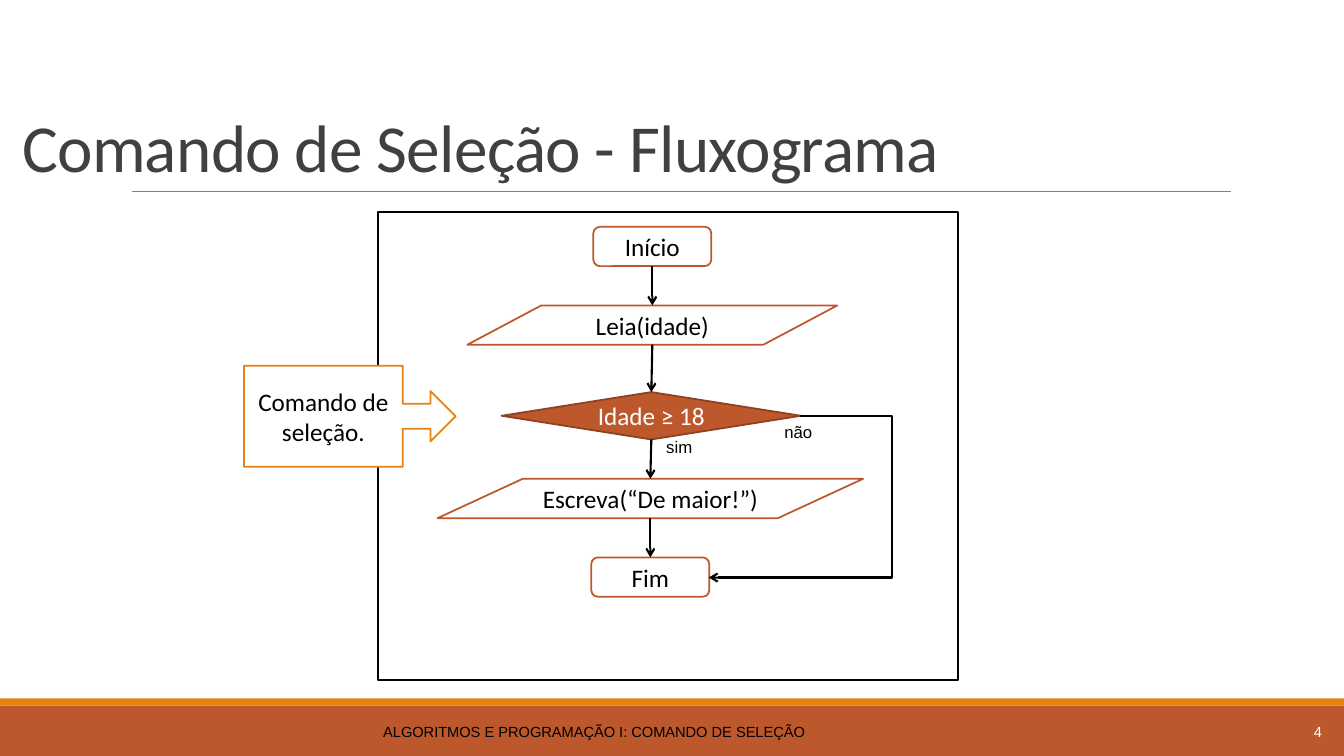
from lxml import etree
from pptx import Presentation
from pptx.dml.color import RGBColor
from pptx.enum.shapes import MSO_CONNECTOR, MSO_SHAPE
from pptx.enum.text import MSO_ANCHOR, MSO_AUTO_SIZE, PP_ALIGN
from pptx.oxml.ns import qn
from pptx.util import Inches, Pt

STRAIGHT, ELBOW = MSO_CONNECTOR.STRAIGHT, MSO_CONNECTOR.ELBOW
RECTANGLE, ROUNDED = MSO_SHAPE.RECTANGLE, MSO_SHAPE.ROUNDED_RECTANGLE
DATA, DIAMOND = MSO_SHAPE.FLOWCHART_DATA, MSO_SHAPE.DIAMOND
CALLOUT = MSO_SHAPE.RIGHT_ARROW_CALLOUT
TOP, MIDDLE, BOTTOM = MSO_ANCHOR.TOP, MSO_ANCHOR.MIDDLE, MSO_ANCHOR.BOTTOM
LEFT, CENTER, RIGHT = PP_ALIGN.LEFT, PP_ALIGN.CENTER, PP_ALIGN.RIGHT
NO_AUTOFIT = MSO_AUTO_SIZE.NONE

COLORS = {
    "rust": "BD582C", "dark_rust": "8C4121", "orange": "E48312", "gray": "808080",
    "title": "404040", "black": "000000", "white": "FFFFFF",
}


def color(name):
    return RGBColor.from_string(COLORS[name])


def write(shape, text, size, font, ink, align=CENTER, anchor=MIDDLE, wrap=True):
    frame = shape.text_frame
    frame.text = text
    frame_format = {"word_wrap": wrap, "auto_size": NO_AUTOFIT, "vertical_anchor": anchor}
    for name, value in frame_format.items():
        setattr(frame, name, value)
    paragraph = frame.paragraphs[0]
    paragraph.alignment = align
    run = paragraph.runs[0]
    for name, value in {"size": Pt(size), "name": font}.items():
        setattr(run.font, name, value)
    run.font.color.rgb = color(ink)
    return paragraph


def add_label(slide, box, text, size, ink="black", **layout):
    shape = slide.shapes.add_textbox(*map(Inches, box))
    write(shape, text, size, "Arial", ink, **layout)


def add_box(slide, kind, box, fill=None, line=None, text=None, ink="black"):
    shape = slide.shapes.add_shape(kind, *map(Inches, box))
    shape.shadow.inherit = False
    if fill:
        shape.fill.solid()
        shape.fill.fore_color.rgb = color(fill)
    else:
        shape.fill.background()
    if line:
        shape.line.color.rgb = color(line)
        shape.line.width = Pt(1.25)
    else:
        shape.line.fill.background()
    if text:
        write(shape, text, 18, "Calibri", ink)
    return shape


def add_line(slide, start, end, ink="black", width=1.5, kind=STRAIGHT, arrow=True):
    connector = slide.shapes.add_connector(kind, *map(Inches, (*start, *end)))
    connector.line.color.rgb = color(ink)
    connector.line.width = Pt(width)
    if arrow:
        etree.SubElement(connector.line._get_or_add_ln(), qn("a:tailEnd"), type="arrow")
    etree.SubElement(connector._element.spPr, qn("a:effectLst"))
    return connector


def add_title(slide, box):
    title = slide.shapes.title
    for name, value in zip(("left", "top", "width", "height"), box):
        setattr(title, name, Inches(value))
    paragraph = write(title, "Comando de Seleção - Fluxograma", 48, "Calibri", "title", LEFT, BOTTOM)
    paragraph.line_spacing = 0.85
    paragraph.runs[0].font._element.set("spc", "-50")
    bottom = box[1] + box[3]
    add_line(slide, (1.31, bottom), (12.21, bottom), "gray", 0.5, arrow=False)


def add_footer(slide, box):
    left, top, width, height = box
    add_box(slide, RECTANGLE, box, "rust")
    add_box(slide, RECTANGLE, (left, top - 0.07, width, 0.07), "orange")
    text_top = top + 0.06
    add_label(slide, (left + 0.12, text_top, 11.55, 0.4),
              "ALGORITMOS E PROGRAMAÇÃO I: COMANDO DE SELEÇÃO", 10.5, align=CENTER)
    add_label(slide, (left + 11.78, text_top, 1.43, 0.4), "4", 10.5, "white", align=RIGHT)


def add_flowchart(slide, box):
    left, top = box[:2]
    add_box(slide, RECTANGLE, box, line="black")
    steps = [
        ("Início", ROUNDED, 2.72, 0.15, 1.17, 0.39, "white", "rust", "black"),
        ("Leia(idade)", DATA, 2.72, 0.93, 3.67, 0.39, "white", "rust", "black"),
        ("Idade ≥ 18", DIAMOND, 2.71, 1.79, 2.97, 0.47, "rust", "dark_rust", "white"),
        ("Escreva(“De maior!”)", DATA, 2.7, 2.65, 4.22, 0.39, "white", "rust", "black"),
        ("Fim", ROUNDED, 2.7, 3.43, 1.17, 0.39, "white", "rust", "black"),
    ]
    previous_bottom = None
    for text, kind, center, offset, width, height, fill, line, ink in steps:
        middle, step_top = left + center, top + offset
        add_box(slide, kind, (middle - width / 2, step_top, width, height), fill, line, text, ink)
        if previous_bottom:
            add_line(slide, previous_bottom, (middle, step_top))
        previous_bottom = (middle, step_top + height)

    bypass = add_line(slide, (left + 4.19, top + 2.03), (left + 3.28, top + 3.63), kind=ELBOW)
    guides = bypass._element.spPr.find(qn("a:prstGeom")).get_or_add_avLst()
    etree.SubElement(guides, qn("a:gd"), name="adj1", fmla="val -100200")

    for text, x, y, width in (("sim", 2.76, 2.18, 0.46), ("não", 3.93, 2.03, 0.48)):
        add_label(slide, (left + x, top + y, width, 0.3), text, 12,
                  align=LEFT, anchor=TOP, wrap=False)


def add_callout(slide, box):
    callout = add_box(slide, CALLOUT, box, "white", "orange", "Comando de seleção.")
    for index, value in enumerate((0.25, 0.25, 0.25, 0.75)):
        callout.adjustments[index] = value


presentation = Presentation()
presentation.slide_width = Inches(13.33)
presentation.slide_height = Inches(7.5)
slide = presentation.slides.add_slide(presentation.slide_layouts[5])
add_footer(slide, (0, 7, 13.33, 0.5))
add_title(slide, (0.12, 0.31, 13.1, 1.59))
add_flowchart(slide, (3.75, 2.1, 5.75, 4.65))
add_callout(slide, (2.42, 3.63, 2.1, 1))
presentation.save("out.pptx")
